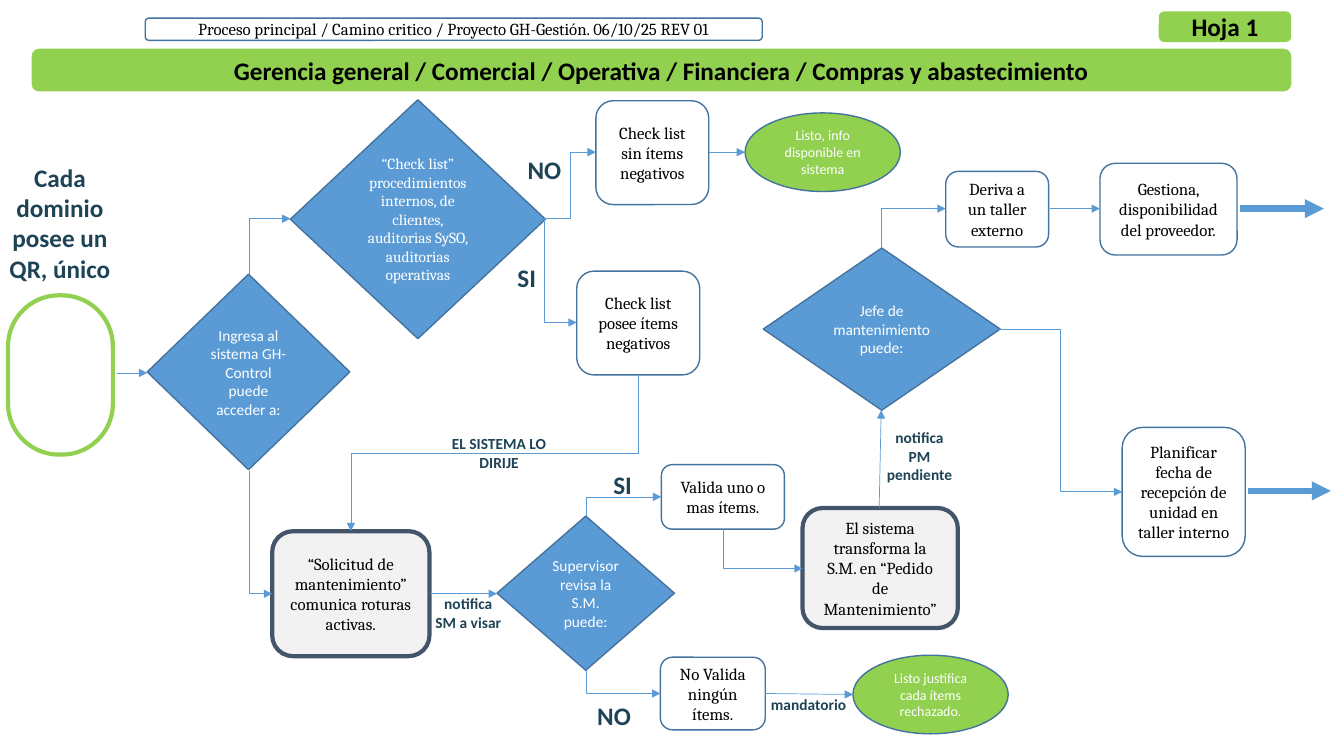
from dataclasses import dataclass
from typing import Optional

from lxml import etree
from pptx import Presentation
from pptx.dml.color import RGBColor
from pptx.enum.shapes import MSO_CONNECTOR as Connector, MSO_SHAPE as Shape
from pptx.enum.text import MSO_ANCHOR as Anchor, MSO_AUTO_SIZE as AutoSize, PP_ALIGN as Align
from pptx.oxml.ns import qn
from pptx.util import Inches, Pt

WHITE = RGBColor(0xFF, 0xFF, 0xFF)
BLACK = RGBColor(0x00, 0x00, 0x00)
GREEN = RGBColor(0x92, 0xD0, 0x50)
BLUE = RGBColor(0x5B, 0x9B, 0xD5)
OUTLINE = RGBColor(0x43, 0x73, 0x9E)
GREY = RGBColor(0xF2, 0xF2, 0xF2)
SLATE = RGBColor(0x44, 0x54, 0x6A)
NAVY = RGBColor(0x1D, 0x43, 0x55)


@dataclass(frozen=True)
class Style:
    geometry: Shape = Shape.ROUNDED_RECTANGLE
    fill: Optional[RGBColor] = None
    line: RGBColor = OUTLINE
    width: float = 1
    font: str = "Cambria"
    size: float = 12
    color: RGBColor = BLACK
    bold: bool = False


@dataclass(frozen=True)
class Node:
    style: Style
    left: float
    top: float
    width: float
    height: float
    text: str = ""
    corner: Optional[float] = None


@dataclass(frozen=True)
class Label:
    left: float
    top: float
    width: float
    height: float
    text: str
    size: float = 11


@dataclass(frozen=True)
class Arrow:
    start: tuple[float, float]
    end: tuple[float, float]
    route: str = "straight"  # "corner" and "drop" leave vertically, "step" horizontally
    bend: float = 0.5
    width: float = 0.5


STEP = Style()
RECORD = Style(fill=GREY, line=SLATE, width=3)
BANNER = Style(fill=GREEN, line=GREEN, font="Calibri", size=18, bold=True)
CODE = Style(line=GREEN, width=3)
DECISION = Style(Shape.DIAMOND, BLUE, font="Calibri", size=11, color=WHITE)
CHECKLIST = Style(Shape.DIAMOND, BLUE, size=11, color=WHITE)
FINISH = Style(Shape.OVAL, GREEN, font="Calibri", size=10, color=WHITE)

NODES = [
    # Headings
    Node(BANNER, 0.32, 0.49, 12.48, 0.41,
         "Gerencia general / Comercial / Operativa / Financiera / Compras y abastecimiento"),
    Node(STEP, 1.44, 0.18, 6.12, 0.22,
         "Proceso principal / Camino critico / Proyecto GH-Gestión. 06/10/25 REV 01"),
    Node(BANNER, 11.5, 0.12, 1.3, 0.29, "Hoja 1"),
    # Entry and check list
    Node(CODE, 0.08, 2.93, 1.04, 1.58, corner=0.486),
    Node(DECISION, 1.46, 2.72, 2.01, 1.94, "Ingresa al sistema GH-Control puede acceder a:"),
    Node(CHECKLIST, 2.88, 0.99, 2.53, 2.37,
         "“Check list” procedimientos internos, de clientes, auditorias SySO, "
         "auditorias operativas"),
    Node(STEP, 5.91, 1, 1.12, 1.03, "Check list sin ítems negativos"),
    Node(FINISH, 7.39, 1.12, 1.54, 0.78, "Listo, info disponible en sistema"),
    Node(STEP, 5.72, 2.69, 1.22, 1.03, "Check list posee ítems negativos"),
    # Maintenance request
    Node(RECORD, 2.7, 5.27, 1.56, 1.24,
         "“Solicitud de mantenimiento” comunica roturas activas."),
    Node(DECISION, 4.93, 5.12, 1.76, 1.53, "Supervisor revisa la S.M. puede:"),
    Node(STEP, 6.56, 4.61, 1.22, 0.64, "Valida uno o mas ítems."),
    Node(STEP, 6.55, 6.52, 1.04, 0.72, "No Valida ningún ítems."),
    Node(FINISH, 8.46, 6.5, 1.54, 0.78, "Listo justifica cada ítems rechazado."),
    # Maintenance order
    Node(RECORD, 7.96, 5.04, 1.54, 1.19,
         "El sistema transforma la S.M. en “Pedido de Mantenimiento”"),
    Node(DECISION, 7.57, 2.46, 2.35, 1.61, "Jefe de mantenimiento puede:"),
    Node(STEP, 9.38, 1.7, 1.02, 0.75, "Deriva a un taller externo"),
    Node(STEP, 10.91, 1.62, 1.36, 0.91, "Gestiona, disponibilidad del proveedor."),
    Node(STEP, 11.13, 4.24, 1.22, 1.28,
         "Planificar fecha de recepción de unidad en taller interno"),
]

ARROWS = [
    Arrow((1.16, 3.7), (1.46, 3.7)),
    Arrow((2.47, 2.72), (2.88, 2.17), "corner"),
    Arrow((2.47, 4.67), (2.7, 5.89), "corner"),
    Arrow((5.41, 2.17), (5.91, 1.51), "step"),
    Arrow((5.41, 2.17), (5.72, 3.2), "step", bend=-0.045),
    Arrow((7.03, 1.51), (7.39, 1.51)),
    Arrow((6.33, 3.72), (3.48, 5.27), "drop"),
    Arrow((4.26, 5.89), (4.93, 5.89)),
    Arrow((5.82, 5.12), (6.56, 4.93), "corner"),
    Arrow((5.82, 6.65), (6.55, 6.88), "corner"),
    Arrow((7.59, 6.88), (8.46, 6.89)),
    Arrow((7.17, 5.25), (7.96, 5.64), "corner"),
    Arrow((8.72, 5.04), (8.74, 4.07)),
    Arrow((8.74, 2.46), (9.38, 2.07), "corner"),
    Arrow((10.41, 2.07), (10.91, 2.07)),
    Arrow((9.91, 3.27), (11.13, 4.88), "step"),
    Arrow((12.3, 2.07), (13.13, 2.07), width=4.5),
    Arrow((12.38, 4.87), (13.2, 4.87), width=4.5),
]

LABELS = [
    Label(-0.07, 1.56, 1.33, 1.31, "Cada dominio posee un QR, único", 18),
    Label(5.1, 1.48, 0.6, 0.4, "NO", 18),
    Label(4.96, 2.55, 0.53, 0.4, "SI", 18),
    Label(5.91, 4.61, 0.53, 0.4, "SI", 18),
    Label(5.79, 6.9, 0.6, 0.4, "NO", 18),
    Label(4.29, 4.26, 1.32, 0.47, "EL SISTEMA LO DIRIJE"),
    Label(4.09, 5.85, 1.11, 0.47, "notifica\nSM a visar"),
    Label(8.59, 4.2, 1.06, 0.66, "notifica\nPM pendiente"),
    Label(7.49, 6.85, 1.06, 0.29, "mandatorio"),
]


def write_text(frame, text: str, *, font: str, size: float, color: RGBColor,
               bold: bool = False, anchor: Anchor = Anchor.MIDDLE) -> None:
    frame.word_wrap = True
    frame.vertical_anchor = anchor
    frame.text = text
    for paragraph in frame.paragraphs:
        paragraph.alignment = Align.CENTER
        paragraph.font.name = font
        paragraph.font.size = Pt(size)
        paragraph.font.bold = bold
        paragraph.font.color.rgb = color


def draw_node(slide, node: Node) -> None:
    style = node.style
    shape = slide.shapes.add_shape(style.geometry, Inches(node.left), Inches(node.top),
                                   Inches(node.width), Inches(node.height))
    shape.shadow.inherit = False
    if node.corner is not None:
        shape.adjustments[0] = node.corner
    if style.fill is None:
        shape.fill.background()
    else:
        shape.fill.solid()
        shape.fill.fore_color.rgb = style.fill
    shape.line.color.rgb = style.line
    shape.line.width = Pt(style.width)
    if node.text:
        write_text(shape.text_frame, node.text, font=style.font, size=style.size,
                   color=style.color, bold=style.bold)


def draw_arrow(slide, arrow: Arrow) -> None:
    (x1, y1), (x2, y2) = arrow.start, arrow.end
    vertical = arrow.route in ("corner", "drop")
    right, down = x2 > x1, y2 > y1
    if vertical:  # unrotated frame: sides swapped around the same centre
        middle_x, middle_y = (x1 + x2) / 2, (y1 + y2) / 2
        half_width = abs(y2 - y1) / 2 * (-1 if right else 1)
        half_height = abs(x2 - x1) / 2 * (1 if down else -1)
        x1, x2 = middle_x - half_width, middle_x + half_width
        y1, y2 = middle_y - half_height, middle_y + half_height
    kind = Connector.STRAIGHT if arrow.route == "straight" else Connector.ELBOW
    connector = slide.shapes.add_connector(kind, Inches(x1), Inches(y1), Inches(x2), Inches(y2))
    connector.line.color.rgb = BLUE
    connector.line.width = Pt(arrow.width)
    properties = connector._element.spPr
    geometry = properties.find(qn("a:prstGeom"))
    if vertical:
        degrees = 270 if right and down else 90
        properties.find(qn("a:xfrm")).set("rot", str(degrees * 60000))
    if arrow.route == "corner":
        geometry.set("prst", "bentConnector2")
    elif arrow.bend != 0.5:
        etree.SubElement(geometry.find(qn("a:avLst")), qn("a:gd"), name="adj1",
                         fmla=f"val {round(arrow.bend * 100000)}")
    etree.SubElement(properties.find(qn("a:ln")), qn("a:tailEnd"), type="triangle")
    etree.SubElement(properties, qn("a:effectLst"))


def draw_label(slide, label: Label) -> None:
    box = slide.shapes.add_textbox(Inches(label.left), Inches(label.top),
                                   Inches(label.width), Inches(label.height))
    write_text(box.text_frame, label.text, font="Calibri", size=label.size,
               color=NAVY, bold=True, anchor=Anchor.TOP)
    box.text_frame.auto_size = AutoSize.SHAPE_TO_FIT_TEXT


def main() -> None:
    presentation = Presentation()
    presentation.slide_width, presentation.slide_height = Inches(13.33), Inches(7.5)
    slide = presentation.slides.add_slide(presentation.slide_layouts[6])
    for node in NODES:
        draw_node(slide, node)
    for arrow in ARROWS:
        draw_arrow(slide, arrow)
    for label in LABELS:
        draw_label(slide, label)
    presentation.save("out.pptx")


if __name__ == "__main__":
    main()
